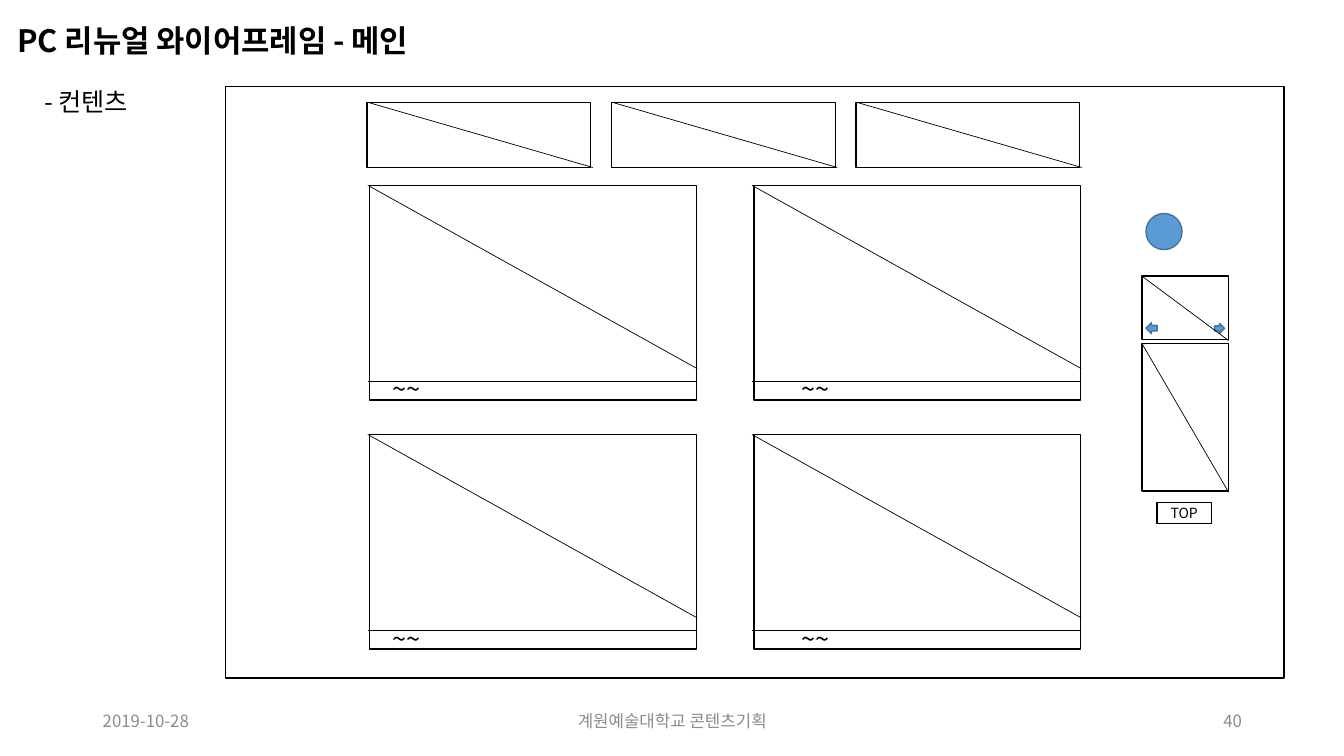
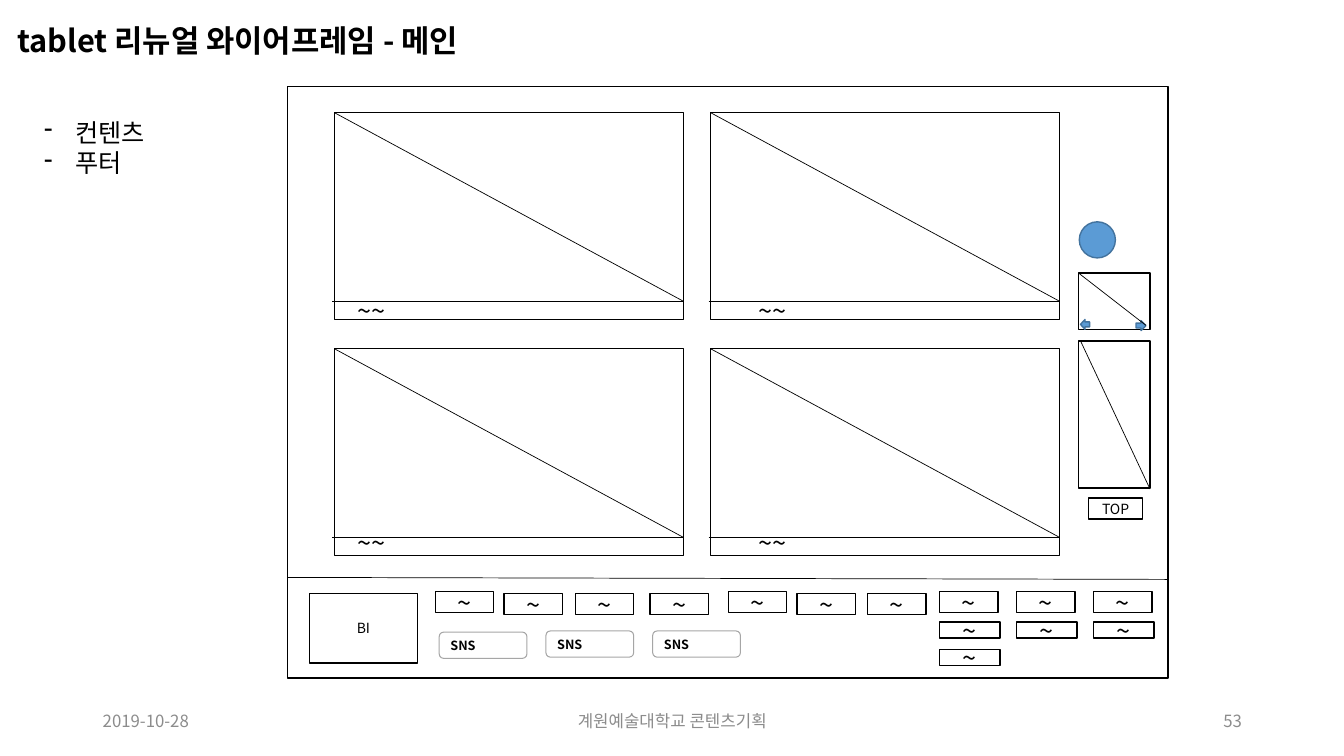
"""Build the PC and tablet wireframe slides of the site renewal plan."""
from lxml import etree
from pptx import Presentation
from pptx.dml.color import RGBColor
from pptx.enum import shapes, text
from pptx.oxml import ns
from pptx.util import Cm, Pt

FONT = "Noto Sans CJK KR"
BLACK, WHITE, GREY, PALE = "000000", "FFFFFF", "8C8C8C", "A6A6A6"
BLUE, DARK_BLUE = "5B9BD5", "43739E"
LEFT, CENTER, RIGHT = text.PP_ALIGN.LEFT, text.PP_ALIGN.CENTER, text.PP_ALIGN.RIGHT
TOP, MIDDLE = text.MSO_ANCHOR.TOP, text.MSO_ANCHOR.MIDDLE
KIND = shapes.MSO_SHAPE
rgb = RGBColor.from_string


def write(shape, words, size, color=BLACK, align=LEFT, anchor=MIDDLE, bold=False, bullet=None):
    frame = shape.text_frame
    frame.word_wrap = True
    frame.auto_size = text.MSO_AUTO_SIZE.NONE
    frame.vertical_anchor = anchor
    frame.text = words
    for paragraph in frame.paragraphs:
        paragraph.alignment = align
        if bullet:
            properties = paragraph._p.get_or_add_pPr()
            properties.set("marL", str(Cm(0.79)))
            properties.set("indent", str(-Cm(0.79)))
            etree.SubElement(properties, ns.qn("a:buChar")).set("char", bullet)
        font = paragraph.font
        font.name, font.size, font.bold = FONT, Pt(size), bold
        font.color.rgb = rgb(color)
        defaults = paragraph._p.pPr.find(ns.qn("a:defRPr"))
        etree.SubElement(defaults, ns.qn("a:ea")).set("typeface", FONT)


def add_box(slide, box, kind=KIND.RECTANGLE, fill=None, line=BLACK, weight=1):
    shape = slide.shapes.add_shape(kind, *map(Cm, box))
    shape.shadow.inherit = False
    if fill:
        shape.fill.solid()
        shape.fill.fore_color.rgb = rgb(fill)
    else:
        shape.fill.background()
    shape.line.color.rgb = rgb(line)
    shape.line.width = Pt(weight)
    return shape


pages = [
    {
        "title": "PC 리뉴얼 와이어프레임 - 메인",
        "number": "40",
        "label": ("- 컨텐츠", 2.06, None),
        "screen": (5.69, 2.18, 26.67, 14.91),
        "columns": (9.32, 19.0),
        "rows": ((4.67, 4.62), (10.95, 4.62)),
        "panel": (8.23, 5.41),
        "divider": 4.93,
        "diagonal": (-0.05, 8.25, 4.62),
        "side_boxes": ((28.78, 6.96, 2.18, 1.6), (28.78, 8.66, 2.18, 3.71)),
        "side_lines": ((28.78, 6.96, 30.96, 8.58), (28.78, 8.66, 30.96, 12.4)),
        "circle": (28.88, 5.38, 0.91, 0.91),
        "previous": (28.88, 8.13, 0.28, 0.28),
        "next": (30.61, 8.15, 0.25, 0.25),
        "top_button": (29.16, 12.67, 1.37, 0.53),
        "banners": 3,
        "site_footer": False,
    },
    {
        "title": "tablet 리뉴얼 와이어프레임 - 메인",
        "number": "53",
        "label": ("컨텐츠\n푸터", 2.82, "-"),
        "screen": (7.24, 2.18, 22.2, 14.91),
        "columns": (8.43, 17.91),
        "rows": ((2.84, 4.47), (8.79, 4.38)),
        "panel": (8.79, 5.21),
        "divider": 4.75,
        "diagonal": (0, 8.79, 4.75),
        "side_boxes": ((27.18, 6.88, 1.8, 1.42), (27.18, 8.59, 1.8, 3.71)),
        "side_lines": ((27.18, 6.88, 28.88, 8.2), (27.23, 8.59, 28.98, 12.32)),
        "circle": (27.2, 5.59, 0.91, 0.91),
        "previous": (27.23, 8.05, 0.23, 0.25),
        "next": (28.63, 8.08, 0.25, 0.25),
        "top_button": (27.43, 12.55, 1.37, 0.53),
        "banners": 0,
        "site_footer": True,
    },
]

presentation = Presentation()
presentation.slide_width, presentation.slide_height = Cm(33.87), Cm(19.05)

for page in pages:
    slide = presentation.slides.add_slide(presentation.slide_layouts[5])
    title = slide.shapes.title
    title.left, title.top, title.width, title.height = Cm(0.18), Cm(0.41), Cm(16), Cm(1.19)
    write(title, page["title"], 22, anchor=TOP, bold=True)

    for left, width, words, align in (
        (2.34, 7.62, "2019-10-28", LEFT),
        (11.23, 11.43, "계원예술대학교 콘텐츠기획", CENTER),
        (23.93, 7.62, page["number"], RIGHT),
    ):
        footer = slide.shapes.add_textbox(Cm(left), Cm(17.65), Cm(width), Cm(1.02))
        write(footer, words, 12, GREY, align)

    words, top, bullet = page["label"]
    label = slide.shapes.add_textbox(Cm(0.86), Cm(top), Cm(4.5), Cm(1.02))
    write(label, words, 18, anchor=TOP, bullet=bullet)

    add_box(slide, page["screen"])
    lines = list(page["side_lines"])

    for index in range(page["banners"]):
        left = 9.25 + 6.16 * index
        add_box(slide, (left, 2.59, 5.64, 1.63))
        lines.append((left + 0.06, 2.59, left + 5.69, 4.22))

    panel_width, panel_height = page["panel"]
    start, end, drop = page["diagonal"]
    for top, caption_drop in page["rows"]:
        for left, caption_indent in zip(page["columns"], (0.33, 0.96)):
            add_box(slide, (left, top, panel_width, panel_height))
            divider = top + page["divider"]
            lines.append((left - 0.05, divider, left + panel_width, divider))
            lines.append((left + start, top, left + end, top + drop))
            caption = slide.shapes.add_textbox(
                Cm(left + caption_indent), Cm(top + caption_drop), Cm(2.9), Cm(1.02))
            write(caption, "~~", 18, anchor=TOP)

    for box in page["side_boxes"]:
        add_box(slide, box)
    for name, kind in (("circle", KIND.OVAL), ("previous", KIND.LEFT_ARROW),
                       ("next", KIND.RIGHT_ARROW)):
        add_box(slide, page[name], kind, BLUE, DARK_BLUE)
    write(add_box(slide, page["top_button"]), "TOP", 10, align=CENTER)

    if page["site_footer"]:
        lines.append((7.24, 14.55, 29.44, 14.6))
        write(add_box(slide, (7.8, 14.96, 2.72, 1.75)), "BI", 10, align=CENTER)
        for index, top in enumerate((15.93, 15.9, 15.9)):
            box = (11.07 + 2.69 * index, top, 2.21, 0.66)
            button = add_box(slide, box, KIND.ROUNDED_RECTANGLE, WHITE, PALE, 0.75)
            write(button, "SNS", 9, bold=True)
        menu = [(left, 14.96, 1.47, 0.53) for left in (12.7, 14.5, 16.38, 20.09, 21.87)]
        menu += [(left, 14.91, 1.47, 0.53) for left in (10.97, 18.36)]
        for top, width, height, count in ((14.91, 1.47, 0.53, 3), (15.67, 1.52, 0.41, 3),
                                          (16.36, 1.52, 0.41, 1)):
            menu += [(23.68 + 1.94 * index, top, width, height) for index in range(count)]
        for box in menu:
            write(add_box(slide, box), "~", 18, align=CENTER)

    for ends in lines:
        line = slide.shapes.add_connector(shapes.MSO_CONNECTOR.STRAIGHT, *map(Cm, ends))
        line.line.color.rgb = rgb(BLACK)
        line.line.width = Pt(0.5)
        etree.SubElement(line._element.spPr, ns.qn("a:effectLst"))

presentation.save("out.pptx")
